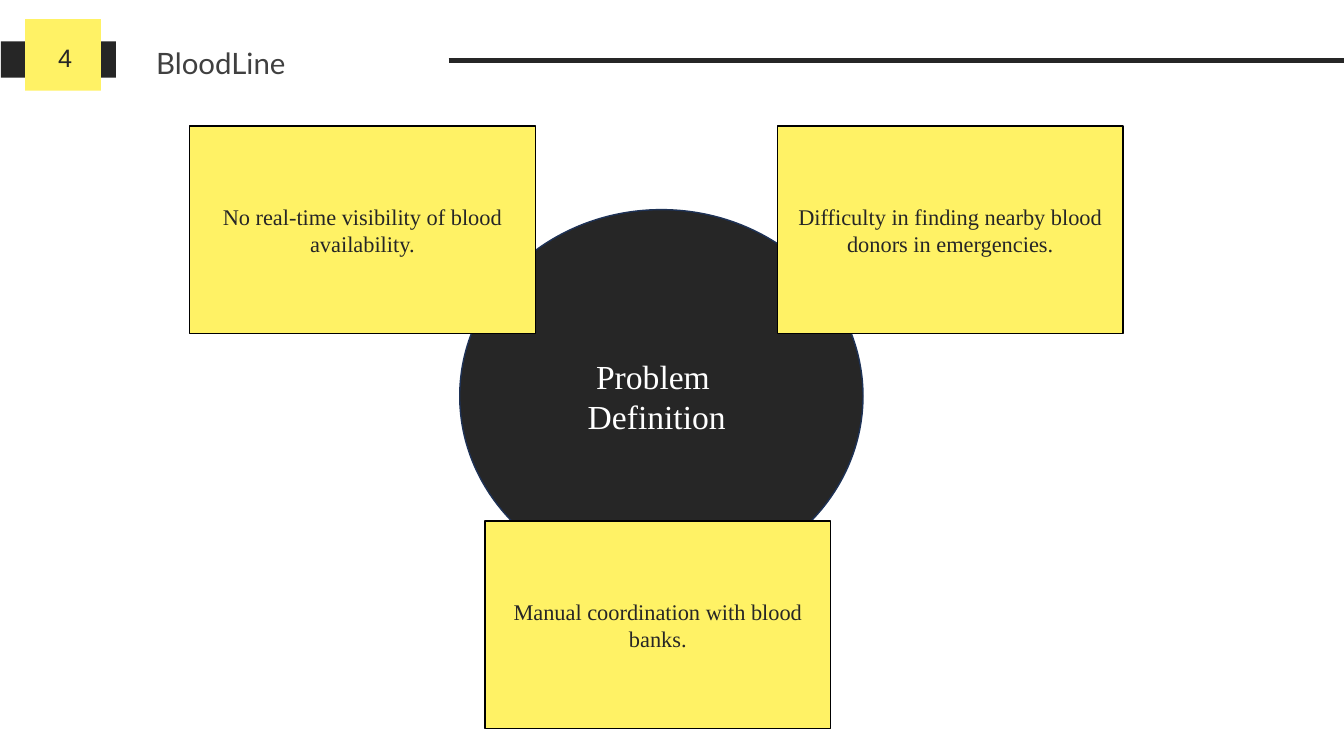
import pptx
import pptx.util
import pptx.dml.color
import pptx.enum.shapes
import pptx.enum.text
import pptx.oxml.ns
import lxml.etree

RGBColor = pptx.dml.color.RGBColor
MSO_SHAPE = pptx.enum.shapes.MSO_SHAPE
ALIGN = pptx.enum.text.PP_ALIGN
ANCHOR = pptx.enum.text.MSO_ANCHOR

DARK = RGBColor(0x26, 0x26, 0x26)
YELLOW = RGBColor(0xFF, 0xF2, 0x65)
GREY = RGBColor(0x40, 0x40, 0x40)
NAVY = RGBColor(0x1E, 0x32, 0x56)
BLACK = RGBColor(0, 0, 0)
WHITE = RGBColor(0xFF, 0xFF, 0xFF)

PX = 9144  # 100 px to the inch

deck = pptx.Presentation()
deck.slide_width, deck.slide_height = 1333 * PX, 750 * PX
slide = deck.slides.add_slide(deck.slide_layouts[6])


def add_block(preset, box, fill, outline=None):
    block = slide.shapes.add_shape(preset, *[n * PX for n in box])
    block.shadow.inherit = False
    block.fill.solid()
    block.fill.fore_color.rgb = fill
    if outline is None:
        block.line.fill.background()
    else:
        block.line.color.rgb = outline
        block.line.width = pptx.util.Pt(1)
    return block


def write(holder, text, size, font, color, align, anchor=ANCHOR.TOP, wrap=True):
    frame = holder.text_frame
    frame.text = text
    frame.word_wrap = wrap
    frame.vertical_anchor = anchor
    for paragraph in frame.paragraphs:
        paragraph.alignment = align
        for run in paragraph.runs:
            run.font.size = pptx.util.Pt(size)
            run.font.name = font
            run.font.color.rgb = color


# Header: rule, page badge and project name
rule = slide.shapes.add_connector(
    pptx.enum.shapes.MSO_CONNECTOR.STRAIGHT, 445 * PX, 60 * PX, 1333 * PX, 60 * PX)
rule.line.color.rgb = DARK
rule.line.width = pptx.util.Pt(3)
lxml.etree.SubElement(rule._element.spPr, pptx.oxml.ns.qn("a:effectLst"))

add_block(MSO_SHAPE.RECTANGLE, (1, 41, 114, 36), DARK)
add_block(MSO_SHAPE.RECTANGLE, (25, 19, 75, 71), YELLOW)

page_number = slide.shapes.add_textbox(39 * PX, 37 * PX, 51 * PX, 40 * PX)
write(page_number, "4", 18, "Arial", DARK, ALIGN.CENTER, wrap=False)

project = slide.shapes.add_textbox(145 * PX, 40 * PX, 279 * PX, 45 * PX)
write(project, "BloodLine", 21, "Lato", GREY, ALIGN.JUSTIFY)

# Central circle with its title
add_block(MSO_SHAPE.FLOWCHART_CONNECTOR, (456, 208, 400, 370), DARK, NAVY)
topic = slide.shapes.add_textbox(573 * PX, 348 * PX, 158 * PX, 91 * PX)
write(topic, " Problem\nDefinition", 24, "Times New Roman", WHITE, ALIGN.LEFT)

# Problem cards around the circle
problems = [
    (188, 125, "No real-time visibility of blood availability."),
    (771, 125, "Difficulty in finding nearby blood donors in emergencies."),
    (481, 517, "Manual coordination with blood banks."),
]
for left, top, problem in problems:
    card = add_block(MSO_SHAPE.RECTANGLE, (left, top, 343, 206), YELLOW, BLACK)
    write(card, problem, 16, "Times New Roman", DARK, ALIGN.CENTER, ANCHOR.MIDDLE)

deck.save("out.pptx")
